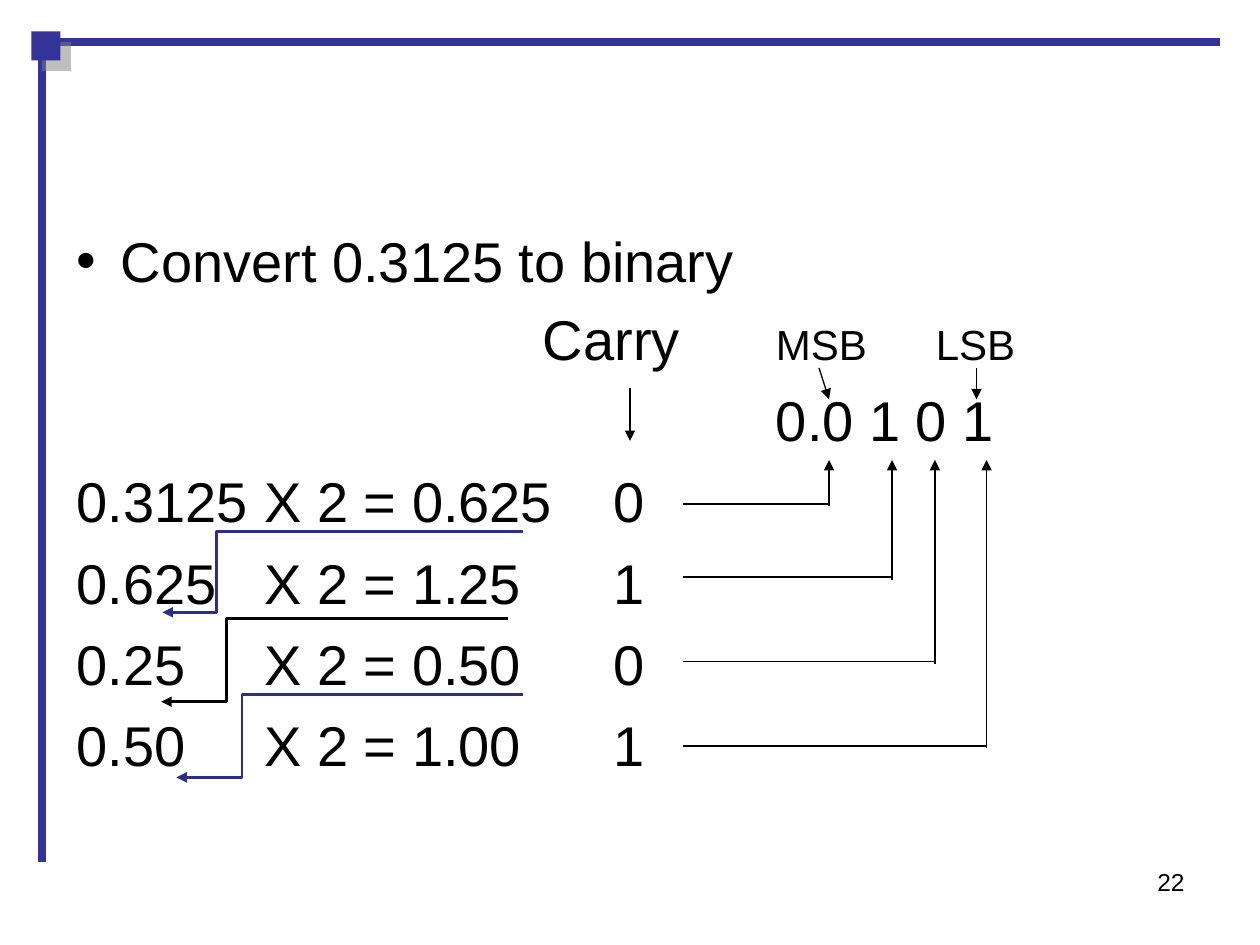
"""Slide that converts 0.3125 to binary by repeated doubling."""
from lxml import etree
from pptx import Presentation, util as u
from pptx.dml.color import RGBColor
from pptx.enum import shapes, text
from pptx.oxml.ns import qn

COLORS = {"ink": "000000", "frame": "333399", "elbow": "2D2D8A", "shadow": "808080"}
FONT = "Arial"
PAGE = "22"
TASK = "Convert 0.3125 to binary"
HEADS = ("Carry", "MSB", "LSB")
ANSWER = "0.0 1 0 1"
STEPS = [("0.3125", "X 2 = 0.625", "0"), ("0.625", "X 2 = 1.25", "1"),
         ("0.25", "X 2 = 0.50", "0"), ("0.50", "X 2 = 1.00", "1")]
HEAD_TABS, ANSWER_TABS, STEP_TABS = (3.7, 5.55, 6.82), (5.55,), (1.49, 4.26)
POINTERS = [(5, 3.08, 5, 3.5), (6.5, 2.92, 6.58, 3.17), (7.75, 2.92, 7.75, 3.17)]
CARRY_X, DIGIT_Y = 5.42, 3.65
CARRIES = [(6.58, 4), (7.08, 4.58), (7.42, 5.25), (7.83, 5.92)]
ELBOWS = [(4.15, 4.22, 1.29, 4.86, 1.72, "elbow"), (4.03, 4.91, 1.28, 5.57, 1.8, "ink"),
          (4.15, 5.51, 1.4, 6.17, 1.92, "elbow")]
FRAME_LINES = [(0.33, 0.33, 9.68, 0.33), (0.33, 0.33, 0.33, 6.84)]


def rgb(name):
    return RGBColor.from_string(COLORS[name])


def sub(parent, tag, **attrs):
    return etree.SubElement(parent, qn(tag), {k: str(v) for k, v in attrs.items()})


def connect(parent, ends, color="ink", width=0.75, arrow=False, bend=None):
    kind = shapes.MSO_CONNECTOR.STRAIGHT if bend is None else shapes.MSO_CONNECTOR.ELBOW
    c = parent.add_connector(kind, *map(u.Inches, ends))
    c.line.color.rgb = rgb(color)
    c.line.width = u.Pt(width)
    pr = c._element.spPr
    if arrow:
        sub(pr.find(qn("a:ln")), "a:tailEnd", type="triangle")
    sub(pr, "a:effectLst")
    if bend is not None:
        share = (ends[0] - bend) / (ends[0] - ends[2])
        geom = pr.find(qn("a:prstGeom"))
        for old in list(geom):
            geom.remove(old)
        sub(sub(geom, "a:avLst"), "a:gd", name="adj1", fmla=f"val {round(share * 100000)}")


def add_box(s, *place):
    tf = s.shapes.add_textbox(*map(u.Inches, place)).text_frame
    tf.word_wrap = True
    return tf


def style(p, size):
    p.font.name, p.font.size = FONT, u.Pt(size)
    p.font.color.rgb = rgb("ink")


def add_line(tf, runs, tabs, before=8):
    p = tf.add_paragraph()
    tab_list = sub(p._p.get_or_add_pPr(), "a:tabLst")
    for tab in tabs:
        sub(tab_list, "a:tab", pos=u.Inches(tab), algn="l")
    p.space_before = u.Pt(before)
    style(p, 32)
    for words, size in runs:
        r = p.add_run()
        r.text = words
        if size:
            r.font.size = u.Pt(size)


def add_text(s):
    tf = add_box(s, 7.17, 6.83, 2.33, 0.52)
    p = tf.paragraphs[0]
    p.text, p.alignment = PAGE, text.PP_ALIGN.RIGHT
    style(p, 14)

    tf = add_box(s, 0.51, 1.75, 9, 4.95)
    p = tf.paragraphs[0]
    p.text = TASK
    pr = p._p.get_or_add_pPr()
    pr.set("marL", str(u.Inches(0.35)))
    pr.set("indent", str(-u.Inches(0.35)))
    sub(pr, "a:buFont", typeface=FONT)
    sub(pr, "a:buChar", char="•")
    style(p, 32)
    carry, *bits = HEADS
    add_line(tf, [("\t" + carry, None), ("\t" + "\t".join(bits), 24)], HEAD_TABS, 6)
    add_line(tf, [("\t" + ANSWER, None)], ANSWER_TABS)
    for step in STEPS:
        add_line(tf, [("\t".join(step), None)], STEP_TABS)


def add_frame(s):
    group = s.shapes.add_group_shape().shapes
    for ends in FRAME_LINES:
        connect(group, ends, "frame", 4.5)
    corner = group.add_shape(shapes.MSO_SHAPE.RECTANGLE, *map(u.Inches, (0.25, 0.25, 0.23, 0.23)))
    corner.fill.solid()
    corner.fill.fore_color.rgb = rgb("frame")
    corner.line.fill.background()
    corner.shadow.inherit = False
    effects = corner._element.spPr.find(qn("a:effectLst"))
    shadow = sub(effects, "a:outerShdw", blurRad=0, dist=u.Pt(8.5), dir=45 * 60000,
                 algn="ctr", rotWithShape=0)
    sub(sub(shadow, "a:srgbClr", val=COLORS["shadow"]), "a:alpha", val=50000)


def main():
    prs = Presentation()
    prs.slide_width, prs.slide_height = u.Inches(10), u.Inches(7.5)
    s = prs.slides.add_slide(prs.slide_layouts[6])
    add_text(s)
    for ends in POINTERS:
        connect(s.shapes, ends, arrow=True)
    for x, y in CARRIES:
        connect(s.shapes, (CARRY_X, y, x, y))
        connect(s.shapes, (x, y + 0.02, x, DIGIT_Y), arrow=True)
    add_frame(s)
    for *ends, bend, color in ELBOWS:
        connect(s.shapes, ends, color, 1.5, True, bend)
    prs.save("out.pptx")


if __name__ == "__main__":
    main()
